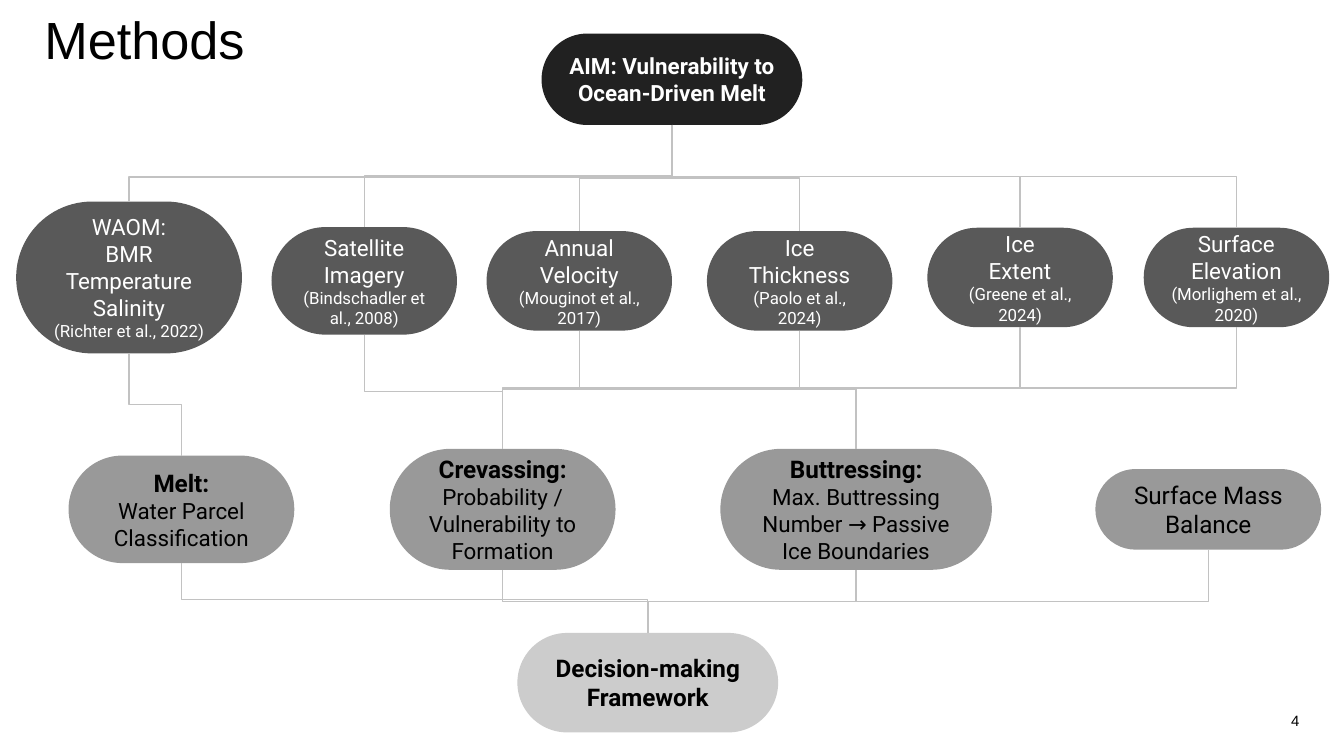
from dataclasses import dataclass

from lxml.etree import SubElement
from pptx import Presentation
from pptx.dml.color import RGBColor
from pptx.enum.shapes import MSO_CONNECTOR as Conn, MSO_SHAPE as Geom
from pptx.enum.text import MSO_ANCHOR as Anchor, MSO_AUTO_SIZE as Fit, PP_ALIGN as Align
from pptx.oxml.ns import qn
from pptx.util import Inches, Pt

SLIDE_W, SLIDE_H = Inches(10), Inches(5.625)
COLS, ROWS = 100, 56.25
COLORS = {
    "aim": "212121", "data": "595959", "analysis": "999999", "result": "CCCCCC",
    "line": "C2C2C2", "light": "FFFFFF", "dark": "000000",
}
TOP, BOTTOM = 0, 2


@dataclass(frozen=True)
class Line:
    text: str
    size: float = 12
    bold: bool = False


@dataclass(frozen=True)
class Node:
    key: str
    tier: str
    cx: float
    cy: float
    w: float
    h: float
    lines: tuple[Line, ...]


@dataclass(frozen=True)
class Link:
    start: str
    end: str
    bend: float = 0.5


def col(n: float) -> int:
    return round(SLIDE_W * n / COLS)


def row(n: float) -> int:
    return round(SLIDE_H * n / ROWS)


def rgb(name: str) -> RGBColor:
    return RGBColor.from_string(COLORS[name])


def write(p, text: str, *, size: float, font="Roboto", color="dark", bold=False,
          align=Align.CENTER, spacing=1.0) -> None:
    p.alignment, p.line_spacing = align, spacing
    p.space_before = p.space_after = Pt(0)
    r = p.add_run()
    r.text = text
    r.font.name, r.font.size, r.font.bold = font, Pt(size), bold
    r.font.color.rgb = rgb(color)


def frame(sp, anchor, inset: float):
    tf = sp.text_frame
    tf.word_wrap, tf.auto_size, tf.vertical_anchor = True, Fit.NONE, anchor
    tf.margin_left = tf.margin_right = tf.margin_top = tf.margin_bottom = Inches(inset)
    return tf


def draw_node(slide, node: Node):
    sp = slide.shapes.add_shape(
        Geom.ROUNDED_RECTANGLE, col(node.cx - node.w / 2), row(node.cy - node.h / 2),
        col(node.w), row(node.h))
    sp.adjustments[0] = 0.5
    sp.shadow.inherit = False
    sp.fill.solid()
    sp.fill.fore_color.rgb = rgb(node.tier)
    sp.line.fill.background()
    tf = frame(sp, Anchor.MIDDLE, 0.1)
    color = "light" if node.tier in ("aim", "data") else "dark"
    for i, line in enumerate(node.lines):
        p = tf.add_paragraph() if i else tf.paragraphs[0]
        write(p, line.text, size=line.size, bold=line.bold, color=color)
    return sp


def draw_link(slide, upper, lower, bend: float) -> None:
    x1, y1 = upper.left + upper.width // 2, upper.top + upper.height
    x2, y2 = lower.left + lower.width // 2, lower.top
    c = slide.shapes.add_connector(Conn.ELBOW, x1, y1, x2, y2)
    c.begin_connect(upper, BOTTOM)
    c.end_connect(lower, TOP)
    c.width, c.height = y2 - y1, abs(x2 - x1)
    c.left, c.top = (x1 + x2 - c.width) // 2, (y1 + y2 - c.height) // 2
    c.line.color.rgb, c.line.width = rgb("line"), Pt(0.75)
    spPr = c._element.spPr
    xfrm = spPr.find(qn("a:xfrm"))
    xfrm.set("rot", str((270 if x2 > x1 else 90) * 60000))
    xfrm.set("flipH", "1" if x2 > x1 else "0")
    xfrm.set("flipV", "0")
    guides = spPr.find(qn("a:prstGeom")).find(qn("a:avLst"))
    SubElement(guides, qn("a:gd"), name="adj1", fmla=f"val {round(bend * 100000)}")
    SubElement(spPr, qn("a:effectLst"))


def data(key: str, cx: float, cy: float, h: float, *lines: str, w: float = 13.8) -> Node:
    *names, source = lines
    return Node(key, "data", cx, cy, w, h, (*map(Line, names), Line(source, 9)))


def analysis(key: str, cx: float, w: float, h: float, *lines: Line) -> Node:
    return Node(key, "analysis", cx, 37.9, w, h, lines)


NODES = (
    Node("aim", "aim", 50, 5.9, 19.4, 6.8,
         (Line("AIM: Vulnerability to Ocean-Driven Melt", 12, True),)),
    data("waom", 9.6, 20.65, 11.3, "WAOM:", "BMR", "Temperature", "Salinity",
         "(Richter et al., 2022)", w=16.8),
    data("imagery", 27.1, 20.9, 8, "Satellite Imagery", "(Bindschadler et al., 2008)"),
    data("velocity", 43.1, 20.9, 7.4, "Annual Velocity", "(Mouginot et al., 2017)"),
    data("thickness", 59.5, 20.9, 7.4, "Ice", "Thickness", "(Paolo et al., 2024)"),
    data("extent", 75.9, 20.65, 7.4, "Ice", "Extent", "(Greene et al., 2024)"),
    data("elevation", 92, 20.65, 7.4, "Surface", "Elevation", "(Morlighem et al., 2020)"),
    analysis("melt", 13.5, 16.8, 8, Line("Melt:", 13, True),
             Line("Water Parcel Classification")),
    analysis("crevassing", 37.4, 16.8, 9, Line("Crevassing:", 13, True),
             Line("Probability / Vulnerability to Formation")),
    analysis("buttressing", 63.7, 20.2, 9, Line("Buttressing:", 13, True),
             Line("Max. Buttressing Number → Passive Ice Boundaries")),
    analysis("balance", 89.9, 16.8, 6, Line("Surface Mass Balance", 13)),
    Node("framework", "result", 48.2, 50.8, 19.4, 7.4,
         (Line("Decision-making", 13, True), Line("Framework", 13, True))),
)
LINKS = (
    Link("aim", "waom", 0.68),
    *(Link("aim", k) for k in ("imagery", "velocity", "thickness", "extent", "elevation")),
    Link("waom", "melt"),
    *(Link(k, "crevassing") for k in ("imagery", "velocity", "thickness", "extent")),
    *(Link(k, "buttressing") for k in ("velocity", "thickness", "extent", "elevation")),
    Link("melt", "framework", 0.52),
    Link("crevassing", "framework"),
    Link("buttressing", "framework"),
    Link("balance", "framework", 0.62),
)


def main() -> None:
    prs = Presentation()
    prs.slide_width, prs.slide_height = SLIDE_W, SLIDE_H
    slide = prs.slides.add_slide(prs.slide_layouts[5])

    title = slide.shapes.title
    title.left, title.top, title.width, title.height = col(3), row(2.5), col(44.3), row(3)
    write(frame(title, Anchor.BOTTOM, 0.03).paragraphs[0], "Methods", size=28,
          font="Arial", align=Align.LEFT, spacing=1.2)

    number = slide.shapes.add_textbox(col(94), row(52.4), col(3), row(2.1))
    write(frame(number, Anchor.MIDDLE, 0.03).paragraphs[0], "4", size=8,
          font="Arial", align=Align.RIGHT, spacing=1.2)

    shapes = {node.key: draw_node(slide, node) for node in NODES}
    for link in LINKS:
        draw_link(slide, shapes[link.start], shapes[link.end], link.bend)

    prs.save("out.pptx")


if __name__ == "__main__":
    main()
